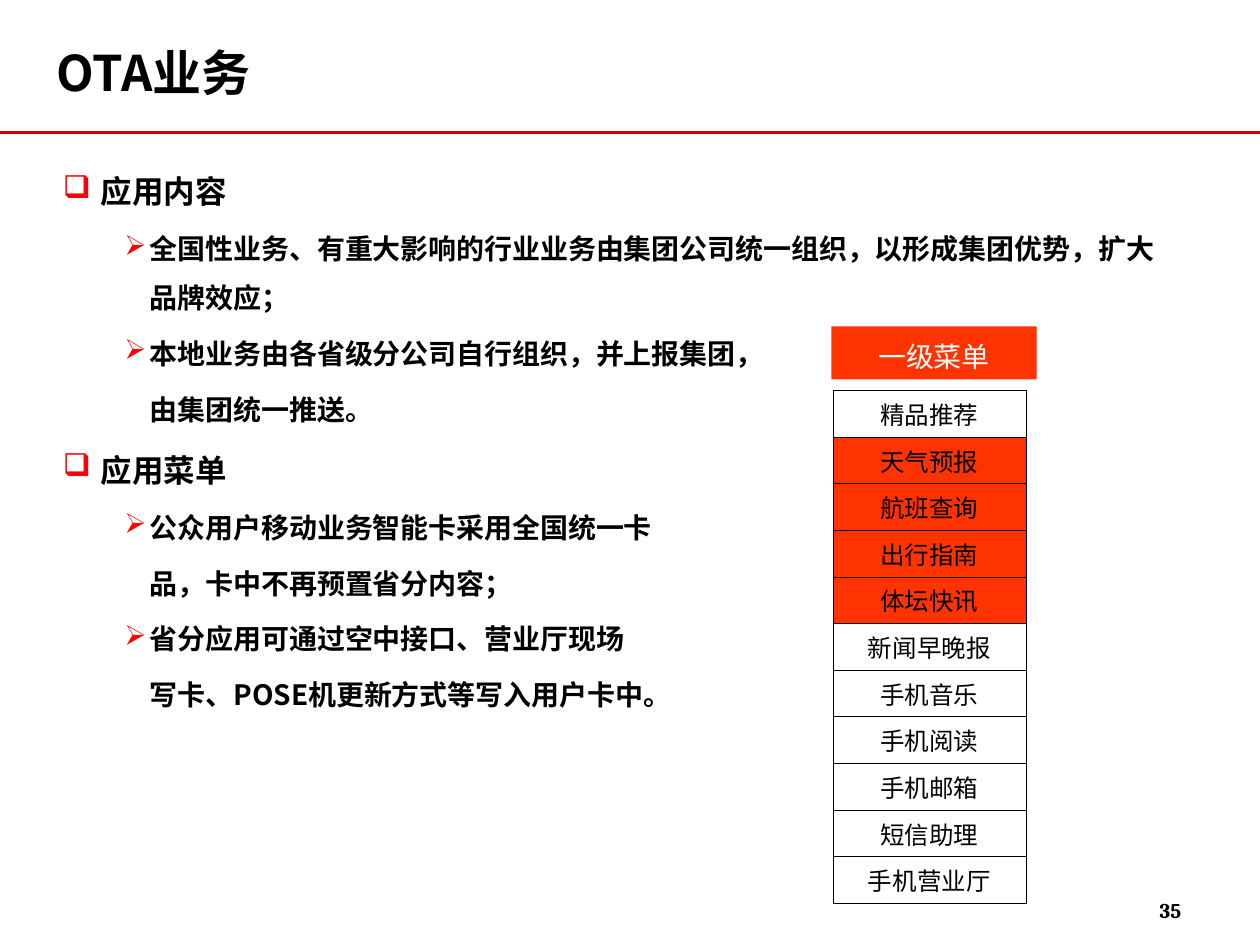
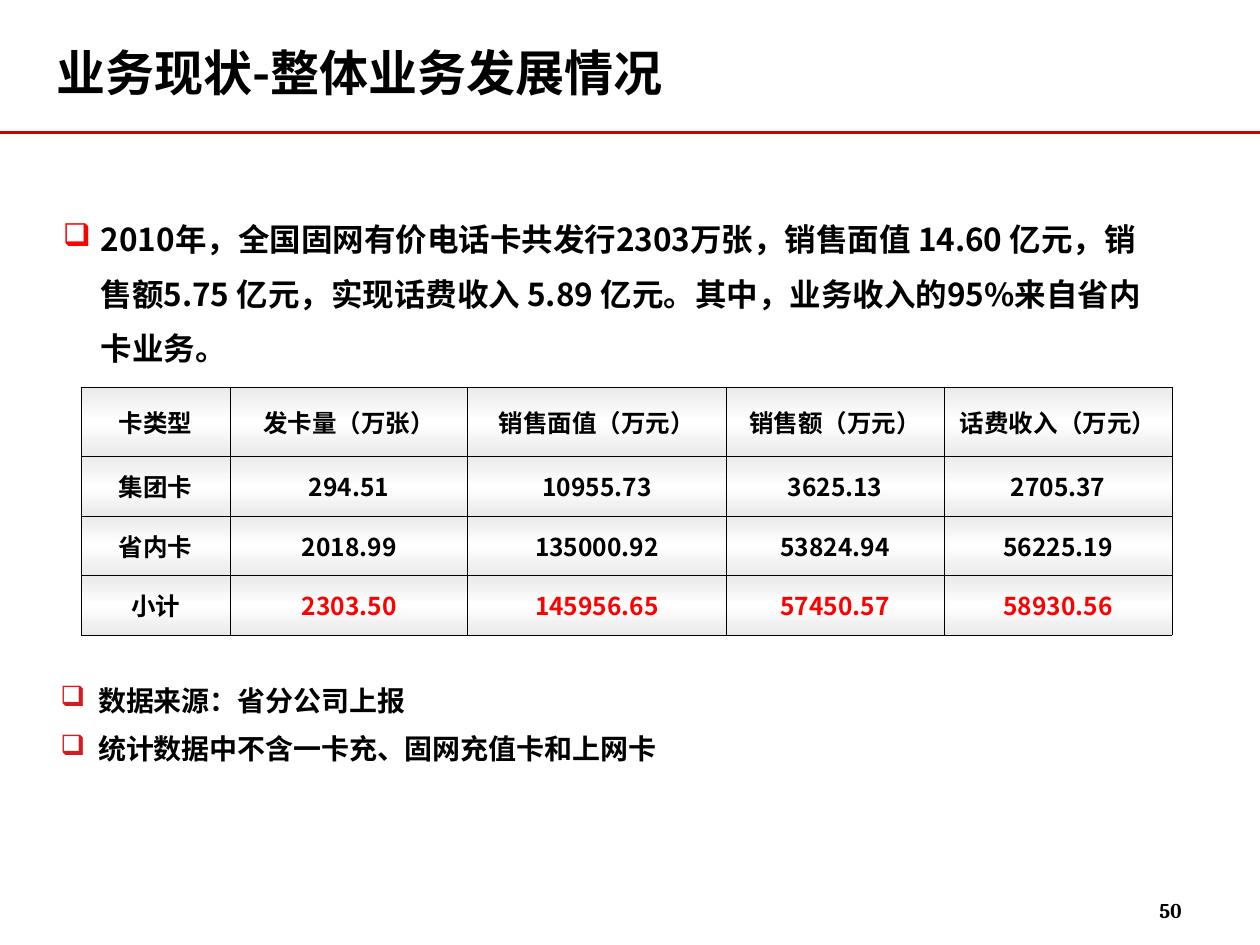
"""Build two slides on card services: the OTA menu and the sales overview."""
from dataclasses import dataclass
from typing import NamedTuple

import lxml.etree
import pptx
import pptx.dml.color
import pptx.enum.shapes
import pptx.enum.text
import pptx.oxml.ns
import pptx.util

Cm = pptx.util.Cm
Pt = pptx.util.Pt
qn = pptx.oxml.ns.qn
CENTER = pptx.enum.text.PP_ALIGN.CENTER
LEFT = pptx.enum.text.PP_ALIGN.LEFT
MIDDLE = pptx.enum.text.MSO_ANCHOR.MIDDLE

BLACK, WHITE, RED = "000000", "FFFFFF", "FF0000"
RULE_RED, MENU_RED, NOTE_RED, SILVER = "CC0000", "FF3300", "D71A20", "EAEAEA"
CJK = "Noto Sans CJK SC"
LINE_PITCH = 1.74


class Box(NamedTuple):
    left: float
    top: float
    width: float
    height: float

    def emu(self) -> list:
        return [Cm(v) for v in self]


@dataclass(frozen=True)
class TextStyle:
    size: float
    font: str = CJK
    color: str = BLACK
    bold: bool = True


@dataclass(frozen=True)
class Level:
    style: TextStyle
    margin: float
    hanging: float
    before: float
    bullet: str = ""
    bullet_color: str = RED


class Item(NamedTuple):
    level: Level
    text: str


TITLE = TextStyle(28)
NUMBER = TextStyle(12, "Cambria")
MENU_HEAD = TextStyle(16, "Calibri", WHITE, False)
MENU_CELL = TextStyle(14, "Times New Roman", bold=False)
DATA_CELL = TextStyle(14)
TOTAL_CELL = TextStyle(14, color=RED)

TOPIC = Level(TextStyle(18), 0.76, 0.76, 4.5, "❑")
POINT = Level(TextStyle(16), 1.75, 0.51, 4, "➢")
MORE = Level(TextStyle(16), 1.75, 0, 4)
NOTE = Level(TextStyle(16), 0.76, 0.76, 0, "❑", NOTE_RED)

OTA_ITEMS = [
    Item(TOPIC, "应用内容"),
    Item(POINT, "全国性业务、有重大影响的行业业务由集团公司统一组织，以形成集团优势，扩大品牌效应；"),
    Item(POINT, "本地业务由各省级分公司自行组织，并上报集团，"),
    Item(MORE, "由集团统一推送。"),
    Item(TOPIC, "应用菜单"),
    Item(POINT, "公众用户移动业务智能卡采用全国统一卡"),
    Item(MORE, "品，卡中不再预置省分内容；"),
    Item(POINT, "省分应用可通过空中接口、营业厅现场"),
    Item(MORE, "写卡、POSE机更新方式等写入用户卡中。"),
]
MENU = ["精品推荐", "天气预报", "航班查询", "出行指南", "体坛快讯", "新闻早晚报",
        "手机音乐", "手机阅读", "手机邮箱", "短信助理", "手机营业厅"]
HIGHLIGHTED = MENU[1:5]
SUMMARY = [Item(TOPIC, "2010年，全国固网有价电话卡共发行2303万张，销售面值 14.60 亿元，"
                       "销售额5.75 亿元，实现话费收入 5.89 亿元。其中，业务收入的95%来自省内卡业务。")]
SALES = [
    ["卡类型", "发卡量（万张）", "销售面值（万元）", "销售额（万元）", "话费收入（万元）"],
    ["集团卡", "294.51", "10955.73", "3625.13", "2705.37"],
    ["省内卡", "2018.99", "135000.92", "53824.94", "56225.19"],
    ["小计", "2303.50", "145956.65", "57450.57", "58930.56"],
]
NOTES = [Item(NOTE, "数据来源：省分公司上报"), Item(NOTE, "统计数据中不含一卡充、固网充值卡和上网卡")]


def rgb(color: str) -> pptx.dml.color.RGBColor:
    return pptx.dml.color.RGBColor.from_string(color)


def add_solid(parent, color: str) -> None:
    fill = lxml.etree.SubElement(parent, qn("a:solidFill"))
    lxml.etree.SubElement(fill, qn("a:srgbClr"), val=color)


def style_paragraph(p, style: TextStyle, align=CENTER) -> None:
    p.alignment = align
    for r in p.runs:
        r.font.size = Pt(style.size)
        r.font.bold = style.bold
        r.font.color.rgb = rgb(style.color)
        r.font.name = style.font
        lxml.etree.SubElement(r.font._element, qn("a:ea"), typeface=CJK)


def add_items(s, box: Box, items: list[Item]):
    tf = s.shapes.add_textbox(*box.emu()).text_frame
    tf.word_wrap = True
    for i, (level, text) in enumerate(items):
        p = tf.add_paragraph() if i else tf.paragraphs[0]
        p.text = text
        pPr = p._p.get_or_add_pPr()
        pPr.set("marL", str(Cm(level.margin)))
        pPr.set("indent", str(-Cm(level.hanging)))
        if level.bullet:
            clr = lxml.etree.SubElement(pPr, qn("a:buClr"))
            lxml.etree.SubElement(clr, qn("a:srgbClr"), val=level.bullet_color)
            lxml.etree.SubElement(pPr, qn("a:buChar"), char=level.bullet)
        p.line_spacing = Pt(level.style.size * LINE_PITCH)
        p.space_before = Pt(level.before if i else 0)
        style_paragraph(p, level.style, LEFT)
    return tf


def add_base_slide(prs, title: str, number: int):
    s = prs.slides.add_slide(prs.slide_layouts[5])
    rule = s.shapes.add_connector(pptx.enum.shapes.MSO_CONNECTOR.STRAIGHT,
                                  0, Cm(2.67), prs.slide_width, Cm(2.67))
    rule.line.color.rgb = rgb(RULE_RED)
    rule.line.width = Pt(1.5)
    lxml.etree.SubElement(rule._element.spPr, qn("a:effectLst"))

    sp = s.shapes.title
    sp.left, sp.top, sp.width, sp.height = Box(0.89, 0.53, 19.41, 1.85).emu()
    sp.text_frame.text = title
    sp.text_frame.vertical_anchor = MIDDLE
    style_paragraph(sp.text_frame.paragraphs[0], TITLE, LEFT)

    tf = s.shapes.add_textbox(*Box(22.96, 17.83, 1.27, 1.02).emu()).text_frame
    tf.word_wrap = True
    tf.margin_left = tf.margin_right = Cm(0.15)
    tf.vertical_anchor = MIDDLE
    tf.text = str(number)
    style_paragraph(tf.paragraphs[0], NUMBER)
    return s


def add_plain_table(s, left: float, top: float, cols: list[float], rows: list[float]):
    box = Box(left, top, sum(cols), sum(rows))
    table = s.shapes.add_table(len(rows), len(cols), *box.emu()).table
    table.first_row = table.horz_banding = False
    for column, width in zip(table.columns, cols):
        column.width = Cm(width)
    for row, height in zip(table.rows, rows):
        row.height = Cm(height)
    return table


def fill_cell(cell, text: str, style: TextStyle):
    cell.text = text
    cell.vertical_anchor = MIDDLE
    cell.margin_top = cell.margin_bottom = Cm(0.08)
    style_paragraph(cell.text_frame.paragraphs[0], style)
    tcPr = cell._tc.get_or_add_tcPr()
    for side in "LRTB":
        add_solid(lxml.etree.SubElement(tcPr, qn(f"a:ln{side}"), w=str(Pt(0.45))), BLACK)
    return tcPr


def add_silver_gradient(tcPr) -> None:
    grad = lxml.etree.SubElement(tcPr, qn("a:gradFill"))
    stops = lxml.etree.SubElement(grad, qn("a:gsLst"))
    for percent, color in ((0, SILVER), (50, WHITE), (100, SILVER)):
        stop = lxml.etree.SubElement(stops, qn("a:gs"), pos=str(percent * 1000))
        lxml.etree.SubElement(stop, qn("a:srgbClr"), val=color)
    lxml.etree.SubElement(grad, qn("a:lin"), ang="5400000", scaled="0")


def build_ota_slide(prs) -> None:
    s = add_base_slide(prs, "OTA业务", 35)
    add_items(s, Box(1.02, 3, 22.89, 15.01), OTA_ITEMS)

    sp = s.shapes.add_shape(pptx.enum.shapes.MSO_SHAPE.RECTANGLE,
                            *Box(16.76, 6.58, 4.14, 1.07).emu())
    sp.shadow.inherit = False
    sp.fill.solid()
    sp.fill.fore_color.rgb = rgb(MENU_RED)
    sp.line.fill.background()
    sp.text_frame.text = "一级菜单"
    sp.text_frame.vertical_anchor = MIDDLE
    p = sp.text_frame.paragraphs[0]
    p.line_spacing = 1.2
    style_paragraph(p, MENU_HEAD)

    table = add_plain_table(s, 16.79, 7.87, [3.89], [0.94] * len(MENU))
    for i, name in enumerate(MENU):
        cell = table.cell(i, 0)
        fill_cell(cell, name, MENU_CELL)
        if name in HIGHLIGHTED:
            cell.fill.solid()
            cell.fill.fore_color.rgb = rgb(MENU_RED)
        else:
            cell.fill.background()


def build_sales_slide(prs) -> None:
    s = add_base_slide(prs, "业务现状-整体业务发展情况", 50)
    tf = add_items(s, Box(1.02, 3, 22.89, 10.82), SUMMARY)
    tf.margin_top = Cm(1.09)
    tf.margin_right = Cm(0.48)

    table = add_plain_table(s, 1.63, 7.8, [3.02, 4.78, 5.21, 4.39, 4.6], [1.4, 1.2, 1.2, 1.2])
    for i, row in enumerate(SALES):
        for j, text in enumerate(row):
            is_total = i == len(SALES) - 1 and j > 0
            tcPr = fill_cell(table.cell(i, j), text, TOTAL_CELL if is_total else DATA_CELL)
            add_silver_gradient(tcPr)

    add_items(s, Box(0.97, 13.34, 22.89, 4.01), NOTES)


def main() -> None:
    prs = pptx.Presentation()
    prs.slide_width, prs.slide_height = Cm(25.4), Cm(19.05)
    build_ota_slide(prs)
    build_sales_slide(prs)
    prs.save("out.pptx")


if __name__ == "__main__":
    main()
